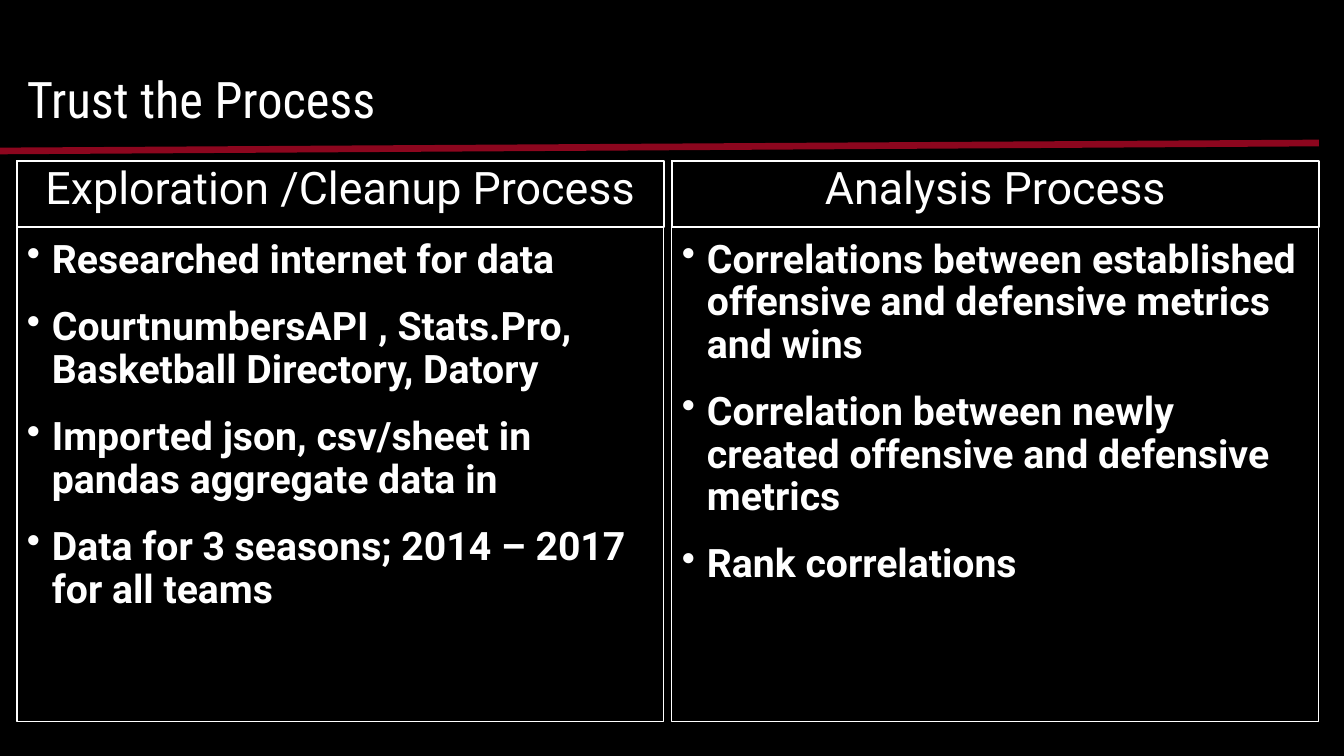
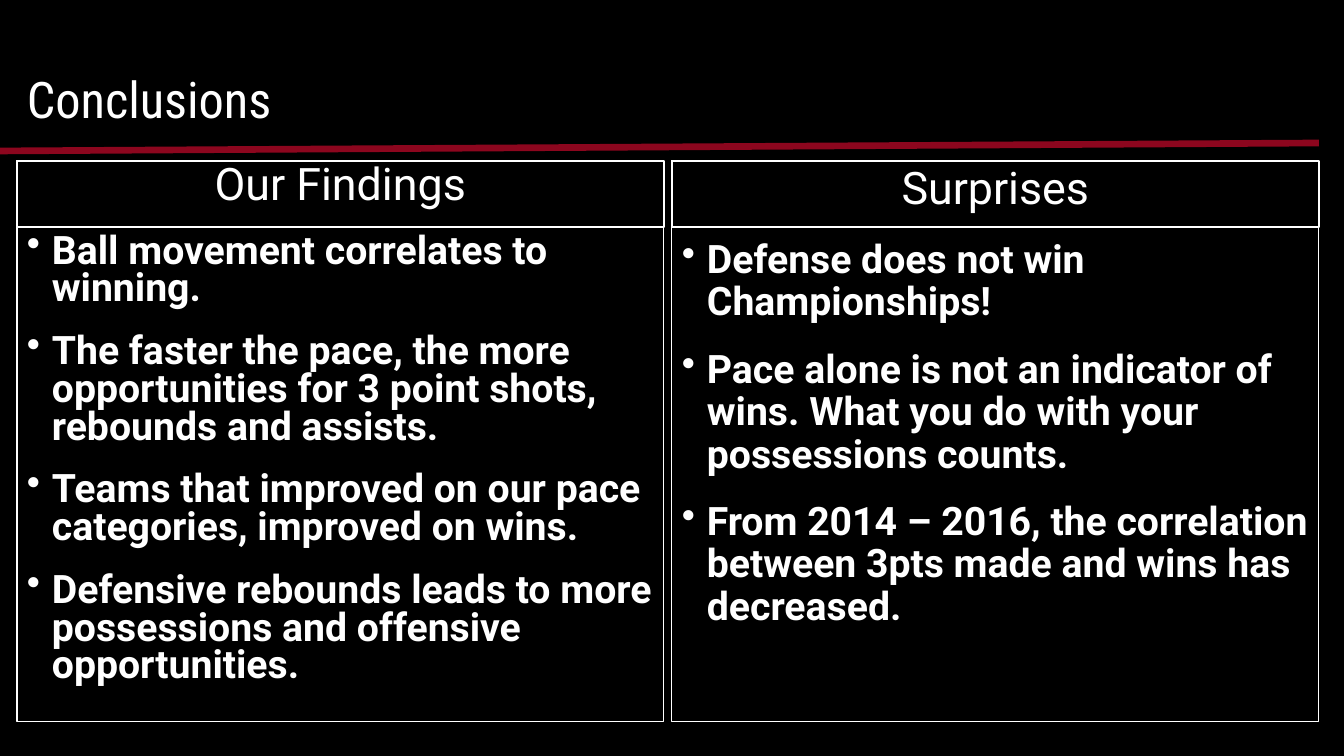
from pptx import Presentation
from pptx.dml.color import RGBColor
from pptx.enum.shapes import MSO_CONNECTOR, MSO_SHAPE
from pptx.enum.text import MSO_ANCHOR, PP_ALIGN
from pptx.oxml.ns import qn
from pptx.util import Pt
from lxml import etree

RECT = MSO_SHAPE.RECTANGLE
STRAIGHT = MSO_CONNECTOR.STRAIGHT
TOP, BOTTOM = MSO_ANCHOR.TOP, MSO_ANCHOR.BOTTOM
LEFT, CENTER = PP_ALIGN.LEFT, PP_ALIGN.CENTER

# Shared look; lengths in px
SCALE = 12192000 / 1344
WIDE, HIGH = 1344, 756
COLORS = {"back": "000000", "text": "FFFFFF", "rule": "8C061E"}
HEAD_FONT, BODY_FONT = "Roboto Condensed", "Roboto"
EDGE, PANEL_TOP = 17, 161
PANEL_W, PANEL_H, HEAD_H, GAP = 647, 561, 66, 8
FULL_W = 2 * PANEL_W + GAP
HANG = 25

# Each panel: heading, line spacing, points
SLIDES = [
    ("Trust the Process", [
        ("Exploration /Cleanup Process", 0.9, [
            "Researched internet for data",
            "CourtnumbersAPI , Stats.Pro, Basketball Directory, Datory",
            "Imported json, csv/sheet in pandas aggregate data in",
            "Data for 3 seasons; 2014 – 2017 for all teams",
        ]),
        ("Analysis Process", 0.9, [
            "Correlations between established offensive and defensive "
            "metrics and wins",
            "Correlation between newly created offensive and defensive "
            "metrics",
            "Rank correlations",
        ]),
    ]),
    ("Conclusions", [
        ("Our Findings", 0.8, [
            "Ball movement correlates to winning.",
            "The faster the pace, the more opportunities for 3 point shots, "
            "rebounds and assists.",
            "Teams that improved on our pace categories, improved on wins.",
            "Defensive rebounds leads to more possessions and offensive "
            "opportunities.",
        ]),
        ("Surprises", 0.9, [
            "Defense does not win Championships!",
            "Pace alone is not an indicator of wins. What you do with your "
            "possessions counts.",
            "From 2014 – 2016, the correlation between 3pts made and wins "
            "has decreased.",
        ]),
    ]),
]


def px(*sizes):
    return [round(size * SCALE) for size in sizes]


def color(name):
    return RGBColor.from_string(COLORS[name])


def write(para, text, size, font=BODY_FONT, bold=False, align=LEFT, lead=0.9):
    para.text = text
    para.alignment = align
    para.line_spacing = lead
    para.font.name = font
    para.font.size = Pt(size)
    para.font.bold = bold
    para.font.color.rgb = color("text")


def add_dot(para):
    props = para._p.get_or_add_pPr()
    hang, = px(HANG)
    props.set("marL", str(hang))
    props.set("indent", str(-hang))
    etree.SubElement(props, qn("a:buChar")).set("char", "•")


def add_title(slide, text):
    box = slide.shapes.add_textbox(*px(EDGE, 8, FULL_W, 126))
    frame = box.text_frame
    frame.word_wrap = True
    frame.vertical_anchor = BOTTOM
    write(frame.paragraphs[0], text, 36, HEAD_FONT)


def add_rule(slide):
    rule = slide.shapes.add_connector(
        STRAIGHT, *px(0, 151, EDGE + FULL_W, 143))
    rule.line.color.rgb = color("rule")
    rule.line.width = Pt(4.75)
    etree.SubElement(rule._element.spPr, qn("a:effectLst"))


def add_frame(slide, left, high, weight):
    shape = slide.shapes.add_shape(RECT, *px(left, PANEL_TOP, PANEL_W, high))
    shape.shadow.inherit = False
    shape.fill.background()
    shape.line.color.rgb = color("text")
    shape.line.width = Pt(weight)
    return shape


def add_panel(slide, left, head, lead, points):
    frame = add_frame(slide, left, PANEL_H, 0.75).text_frame
    frame.word_wrap = True
    frame.vertical_anchor = TOP
    write(frame.paragraphs[0], head, 32, align=CENTER, lead=lead)
    for point in points:
        para = frame.add_paragraph()
        add_dot(para)
        para.space_before = Pt(18)
        write(para, point, 28, bold=True, lead=lead)
    # Box around the heading
    add_frame(slide, left, HEAD_H, 1)


def add_page(deck, title, panels):
    slide = deck.slides.add_slide(deck.slide_layouts[6])
    fill = slide.background.fill
    fill.solid()
    fill.fore_color.rgb = color("back")
    add_title(slide, title)
    add_rule(slide)
    for col, panel in enumerate(panels):
        add_panel(slide, EDGE + col * (PANEL_W + GAP), *panel)


def main():
    deck = Presentation()
    deck.slide_width, deck.slide_height = px(WIDE, HIGH)
    for title, panels in SLIDES:
        add_page(deck, title, panels)
    deck.save("out.pptx")


if __name__ == "__main__":
    main()
